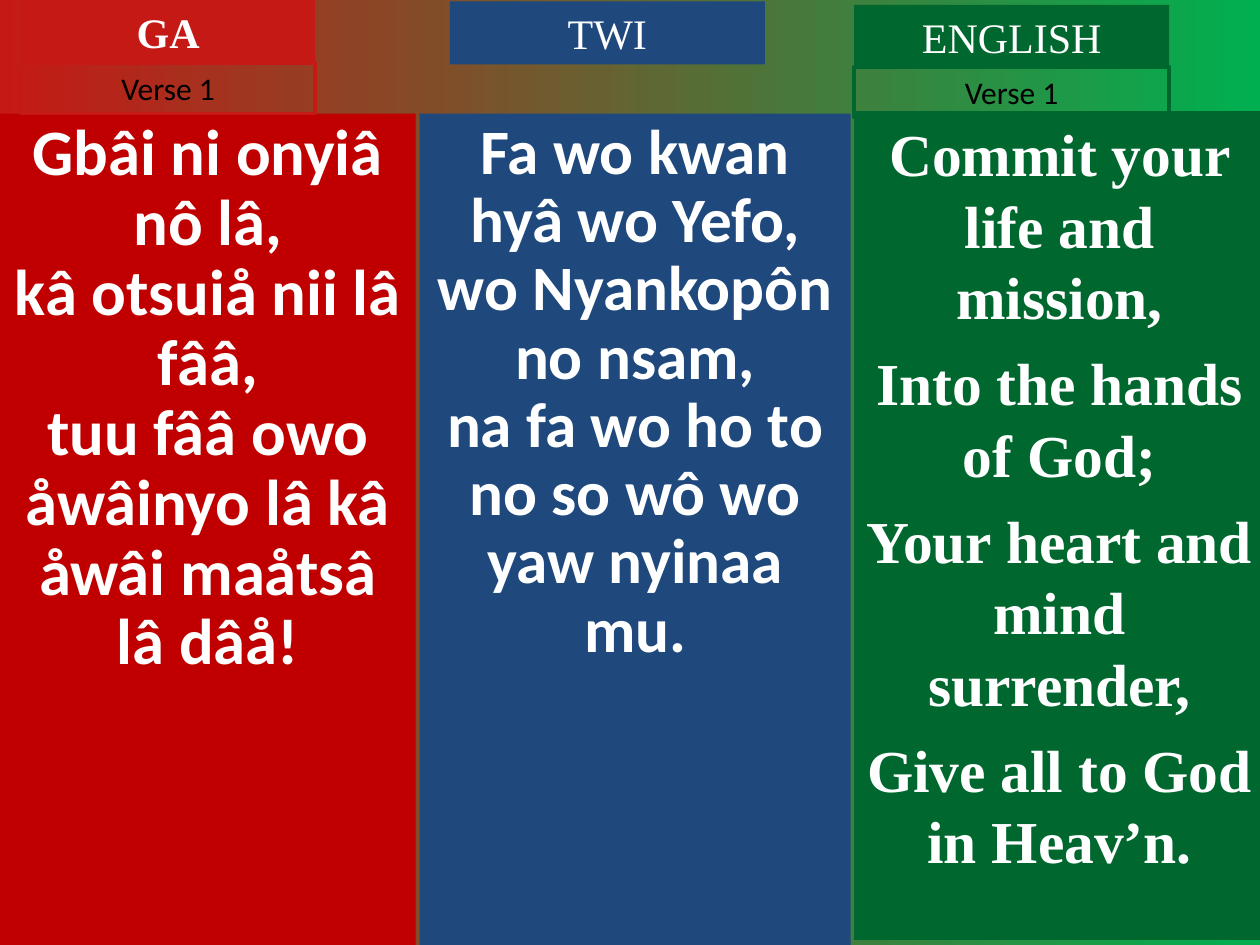
from pptx import Presentation
from pptx.dml.color import RGBColor
from pptx.enum.shapes import MSO_SHAPE
from pptx.enum.text import MSO_ANCHOR, MSO_AUTO_SIZE, PP_ALIGN
from pptx.util import Cm, Pt

RED = RGBColor(0xC5, 0x19, 0x15)
DARK_RED = RGBColor(0xC0, 0x00, 0x00)
BLUE = RGBColor(0x1F, 0x49, 0x7D)
GREEN = RGBColor(0x00, 0x68, 0x2F)
BRIGHT_GREEN = RGBColor(0x00, 0xB0, 0x50)
WHITE = RGBColor(0xFF, 0xFF, 0xFF)
BLACK = RGBColor(0x00, 0x00, 0x00)
SERIF, SANS = "Times New Roman", "Calibri"

presentation = Presentation()
presentation.slide_width, presentation.slide_height = Cm(25.4), Cm(19.05)
slide = presentation.slides.add_slide(presentation.slide_layouts[6])

# Background running from red to green
backdrop = slide.background.fill
backdrop.gradient()
backdrop.gradient_angle = 0
for stop, color in zip(backdrop.gradient_stops, (RED, BRIGHT_GREEN)):
    stop.color.rgb = color


def add_box(lines, left, top, width, height, *, fill=None, outline=None,
            font=SANS, size=18, color=WHITE, bold=False,
            line_spacing=1.0, gap=0, grow=False):
    """Add a rectangle with centred paragraphs; lengths are in centimetres."""
    box = slide.shapes.add_shape(MSO_SHAPE.RECTANGLE, Cm(left), Cm(top), Cm(width), Cm(height))
    box.shadow.inherit = False
    if fill is None:
        box.fill.background()
    else:
        box.fill.solid()
        box.fill.fore_color.rgb = fill
    if outline is None:
        box.line.fill.background()
    else:
        box.line.color.rgb = outline
        box.line.width = Pt(2.25)

    frame = box.text_frame
    frame.word_wrap = True
    frame.vertical_anchor = MSO_ANCHOR.TOP
    frame.auto_size = MSO_AUTO_SIZE.SHAPE_TO_FIT_TEXT if grow else MSO_AUTO_SIZE.NONE
    for index, line in enumerate(lines):
        paragraph = frame.add_paragraph() if index else frame.paragraphs[0]
        paragraph.alignment = PP_ALIGN.CENTER
        paragraph.line_spacing = line_spacing
        paragraph.space_before = Pt(gap if index else 0)
        run = paragraph.add_run()
        run.text = line
        run.font.name = font
        run.font.size = Pt(size)
        run.font.bold = bold
        run.font.color.rgb = color


# Lyrics, one panel per language
add_box(["Gbâi ni onyiâ nô lâ,",
         "kâ otsuiå nii lâ fââ,",
         "tuu fââ owo åwâinyo lâ kâ åwâi maåtsâ lâ dâå!"],
        0, 2.29, 8.38, 16.76, fill=DARK_RED, size=37, bold=True, line_spacing=0.9)
add_box(["Fa wo kwan hyâ wo Yefo,",
         "wo Nyankopôn no nsam,",
         "na fa wo ho to no so wô wo yaw nyinaa mu."],
        8.46, 2.29, 8.69, 16.76, fill=BLUE, size=36.1, bold=True, line_spacing=0.9)
add_box(["Commit your life and mission,",
         "Into the hands of God;",
         "Your heart and mind surrender,",
         "Give all to God in Heav’n."],
        17.22, 2.24, 8.28, 16.71, fill=GREEN, font=SERIF, size=34, bold=True, gap=8.5)

# Language headings
for language, left, top, width, color, bold in (
        ("GA", 0.43, 0, 5.92, RED, True),
        ("TWI", 9.07, 0.03, 6.35, BLUE, False),
        ("ENGLISH", 17.22, 0.1, 6.35, GREEN, False)):
    add_box([language], left, top, width, 1.27, fill=color,
            font=SERIF, size=24, bold=bold, grow=True)

# Verse labels under the outer headings
for left, top, width, color in ((0.43, 1.27, 5.92, RED), (17.22, 1.35, 6.35, GREEN)):
    add_box(["Verse 1"], left, top, width, 1.02, outline=color, color=BLACK, grow=True)

presentation.save("out.pptx")
